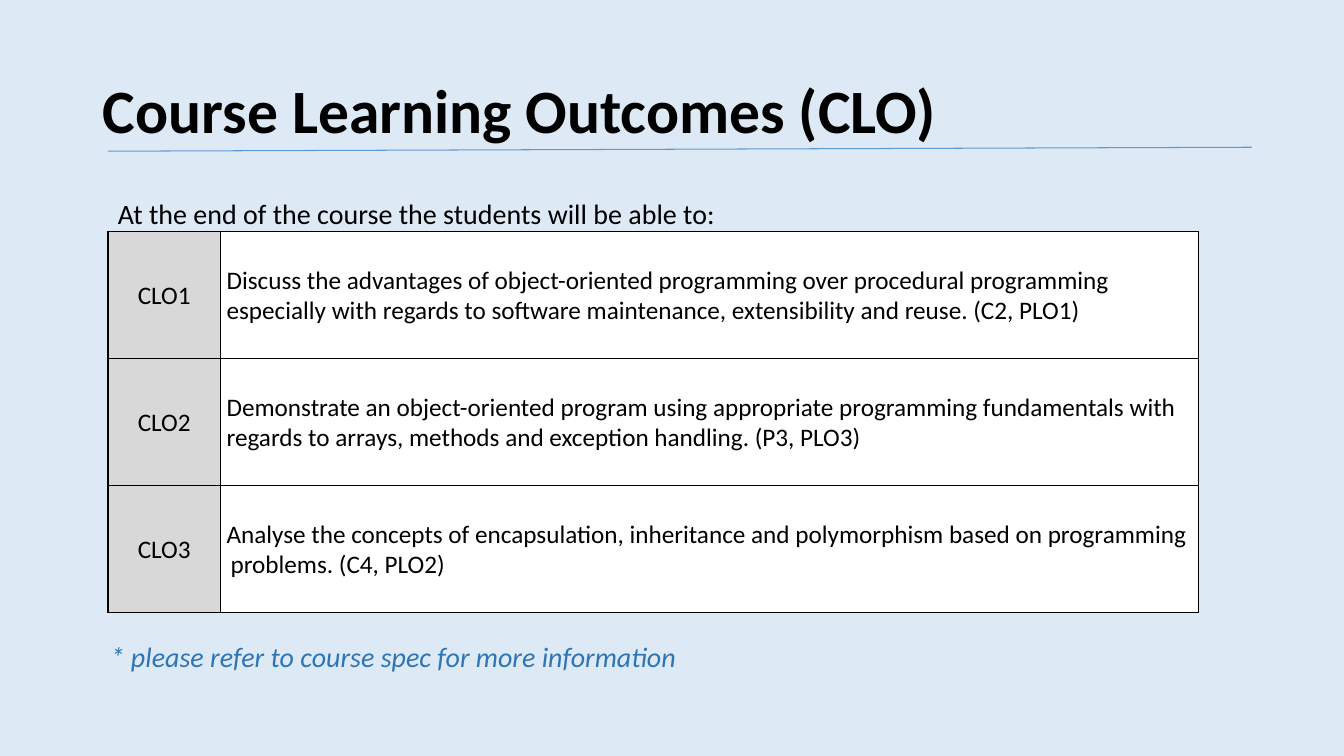
import pptx
import pptx.dml.color
import pptx.enum.shapes
import pptx.enum.text
import pptx.oxml
import pptx.oxml.ns
import pptx.util

Cm, Pt = pptx.util.Cm, pptx.util.Pt
RGBColor = pptx.dml.color.RGBColor
PP_ALIGN = pptx.enum.text.PP_ALIGN
MSO_ANCHOR = pptx.enum.text.MSO_ANCHOR

BACKGROUND = RGBColor(0xDD, 0xEA, 0xF6)
BLACK = RGBColor(0, 0, 0)
WHITE = RGBColor(0xFF, 0xFF, 0xFF)
GREY = RGBColor(0xD8, 0xD8, 0xD8)
NOTE_BLUE = RGBColor(0x2E, 0x75, 0xB5)
RULE_BLUE = RGBColor(0x5B, 0x9B, 0xD5)

# Content
TITLE = "Course Learning Outcomes (CLO)"
OUTCOMES = [
    ("CLO1", ["Discuss the advantages of object-oriented programming over procedural programming",
              "especially with regards to software maintenance, extensibility and reuse. (C2, PLO1)"]),
    ("CLO2", ["Demonstrate an object-oriented program using appropriate programming fundamentals with",
              "regards to arrays, methods and exception handling. (P3, PLO3)"]),
    ("CLO3", ["Analyse the concepts of encapsulation, inheritance and polymorphism based on "
              "programming problems. (C4, PLO2)"]),
]
# text, (left, top, width, height) in cm, font format
TEXTS = [
    ("At the end of the course the students will be able to:",
     (2.72, 4.83, 16.31, 1.12), {"size": Pt(20)}, BLACK),
    ("* please refer to course spec for more information",
     (2.54, 16, 27.69, 1.12), {"size": Pt(20), "italic": True}, NOTE_BLUE),
]

# Layout in cm
TITLE_BOX = (2.34, 1.02, 29.21, 3.68)
RULE = (2.72, 3.81, 31.55, 3.71)
TABLE_LEFT, TABLE_TOP = 2.72, 5.84
COL_WIDTHS = (2.84, 24.64)
ROW_HEIGHT = 3.2


def set_attrs(obj, values):
    for name, value in values.items():
        setattr(obj, name, value)


def write(p, text, font, color):
    r = p.add_run()
    r.text = text
    set_attrs(r.font, {"name": "Calibri", **font})
    r.font.color.rgb = color


def format_cell(cell, lines, fill, left, align):
    set_attrs(cell, {"margin_left": Cm(left), "margin_right": Cm(0.03),
                     "margin_top": Cm(0.03), "margin_bottom": 0,
                     "vertical_anchor": MSO_ANCHOR.MIDDLE})
    tcPr = cell._tc.get_or_add_tcPr()
    for side in "LRTB":
        tcPr.append(pptx.oxml.parse_xml(
            f'<a:ln{side} {pptx.oxml.ns.nsdecls("a")} w="{Pt(1)}"><a:solidFill>'
            f'<a:srgbClr val="{BLACK}"/></a:solidFill></a:ln{side}>'))
    cell.fill.solid()
    cell.fill.fore_color.rgb = fill
    tf = cell.text_frame
    for i, line in enumerate(lines):
        p = tf.add_paragraph() if i else tf.paragraphs[0]
        p.alignment = align
        write(p, line, {"size": Pt(18)}, BLACK)


prs = pptx.Presentation()
prs.slide_width, prs.slide_height = Cm(33.87), Cm(19.05)
s = prs.slides.add_slide(prs.slide_layouts[5])
s.background.fill.solid()
s.background.fill.fore_color.rgb = BACKGROUND

# Title
title = s.shapes.title
set_attrs(title, dict(zip(("left", "top", "width", "height"), map(Cm, TITLE_BOX))))
tf = title.text_frame
set_attrs(tf, {"vertical_anchor": MSO_ANCHOR.MIDDLE, "word_wrap": True,
               "auto_size": pptx.enum.text.MSO_AUTO_SIZE.NONE})
p = tf.paragraphs[0]
set_attrs(p, {"alignment": PP_ALIGN.LEFT, "line_spacing": 0.9})
write(p, TITLE, {"size": Pt(44), "bold": True}, BLACK)

# Outcomes table
table = s.shapes.add_table(len(OUTCOMES), 2, Cm(TABLE_LEFT), Cm(TABLE_TOP),
                           Cm(sum(COL_WIDTHS)), Cm(ROW_HEIGHT * len(OUTCOMES))).table
set_attrs(table, {"first_row": False, "horz_banding": False})
for col, width in zip(table.columns, COL_WIDTHS):
    col.width = Cm(width)
for i, (code, lines) in enumerate(OUTCOMES):
    table.rows[i].height = Cm(ROW_HEIGHT)
    format_cell(table.cell(i, 0), [code], GREY, 0.03, PP_ALIGN.CENTER)
    format_cell(table.cell(i, 1), lines, WHITE, 0.15, PP_ALIGN.LEFT)

# Hanging indent where an outcome wraps by itself
for i, (code, lines) in enumerate(OUTCOMES):
    if len(lines) == 1:
        pPr = table.cell(i, 1).text_frame.paragraphs[0]._p.get_or_add_pPr()
        pPr.set("marL", str(Cm(0.1)))
        pPr.set("indent", str(-Cm(0.1)))

# Rule under the title
rule = s.shapes.add_connector(pptx.enum.shapes.MSO_CONNECTOR.STRAIGHT, *map(Cm, RULE))
rule.line.width = Pt(0.75)
rule.line.color.rgb = RULE_BLUE
rule._element.spPr.append(pptx.oxml.parse_xml(f'<a:effectLst {pptx.oxml.ns.nsdecls("a")}/>'))

# Lead-in and footnote
for text, box, font, color in TEXTS:
    tf = s.shapes.add_textbox(*map(Cm, box)).text_frame
    set_attrs(tf, {"word_wrap": True, "auto_size": pptx.enum.text.MSO_AUTO_SIZE.SHAPE_TO_FIT_TEXT})
    write(tf.paragraphs[0], text, font, color)

prs.save("out.pptx")
